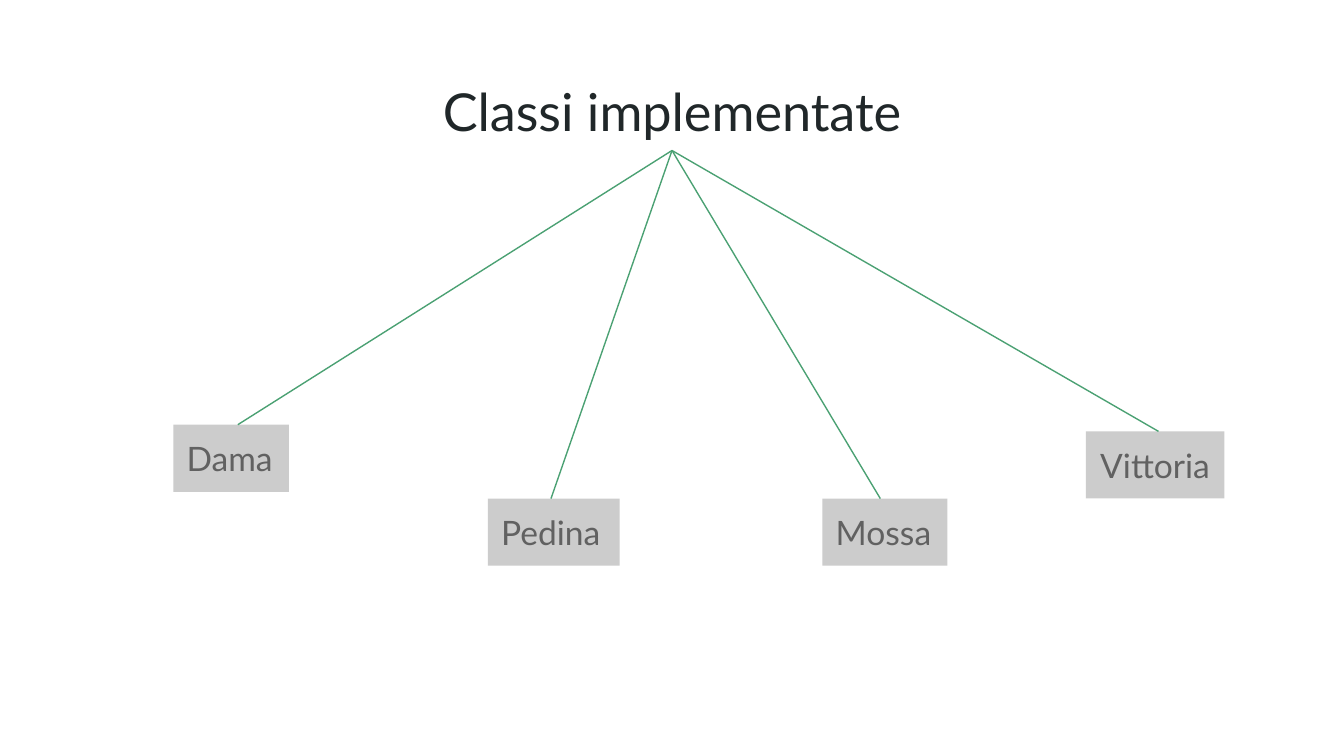
from pptx import Presentation
from pptx.dml.color import RGBColor
from pptx.enum.shapes import MSO_CONNECTOR, MSO_SHAPE
from pptx.enum.text import MSO_ANCHOR, MSO_AUTO_SIZE, PP_ALIGN
from pptx.oxml.ns import qn
from pptx.util import Inches, Pt
from lxml import etree

LINE = MSO_CONNECTOR.STRAIGHT
RECT = MSO_SHAPE.RECTANGLE
LEFT, CENTER = PP_ALIGN.LEFT, PP_ALIGN.CENTER
TOP = MSO_ANCHOR.TOP
GROW = MSO_AUTO_SIZE.SHAPE_TO_FIT_TEXT
WIDE = Inches(10)
PAD = Inches(0.1)
FRAME = {
    "word_wrap": True, "vertical_anchor": TOP,
    "margin_left": PAD, "margin_right": PAD,
    "margin_top": PAD, "margin_bottom": PAD,
}
ROOT = (5, 1.12)
HIGH = 0.5
NODES = [
    ("Dama", 1.29, 3.16, 0.86, 1.77, LEFT),
    ("Pedina", 3.63, 3.71, 0.98, 4.1, LEFT),
    ("Mossa", 6.12, 3.71, 0.93, 6.55, LEFT),
    ("Vittoria", 8.08, 3.21, 1.03, 8.62, CENTER),
]


def color(code):
    """Turn a hex string into a colour."""
    return RGBColor.from_string(code)


def apply(target, values):
    """Set each named attribute on the target."""
    for name, value in values.items():
        setattr(target, name, value)


def write(shape, text, size, code, align):
    """Put one formatted paragraph into a shape."""
    frame = shape.text_frame
    apply(frame, FRAME)
    para = frame.paragraphs[0]
    para.alignment = align
    run = para.add_run()
    run.text = text
    apply(run.font, {"name": "Lato", "size": Pt(size)})
    run.font.color.rgb = color(code)


def add_title(slide, text):
    """Add the centred heading."""
    box = slide.shapes.add_textbox(
        Inches(0.34), Inches(0.49), Inches(9.32), Inches(0.63))
    write(box, text, 28, "202729", CENTER)


def add_node(slide, text, left, top, width, align):
    """Add a grey box that names a class."""
    box = slide.shapes.add_shape(
        RECT, Inches(left), Inches(top), Inches(width), Inches(HIGH))
    box.shadow.inherit = False
    box.fill.solid()
    box.fill.fore_color.rgb = color("CCCCCC")
    box.line.fill.background()
    write(box, text, 18, "616161", align)
    box.text_frame.auto_size = GROW


def add_branch(slide, start, end):
    """Draw a thin green line between two points."""
    branch = slide.shapes.add_connector(
        LINE, *(Inches(value) for value in start + end))
    branch.line.color.rgb = color("4BA173")
    branch.line.width = Pt(0.75)
    etree.SubElement(branch._element.spPr, qn("a:effectLst"))


def main():
    """Build the class tree slide and save it."""
    deck = Presentation()
    apply(deck, {"slide_width": WIDE, "slide_height": WIDE * 9 // 16})
    slide = deck.slides.add_slide(deck.slide_layouts[6])
    add_title(slide, "Classi implementate")
    for text, left, top, width, tip, align in NODES:
        add_node(slide, text, left, top, width, align)
        add_branch(slide, ROOT, (tip, top))
    deck.save("out.pptx")


if __name__ == "__main__":
    main()
